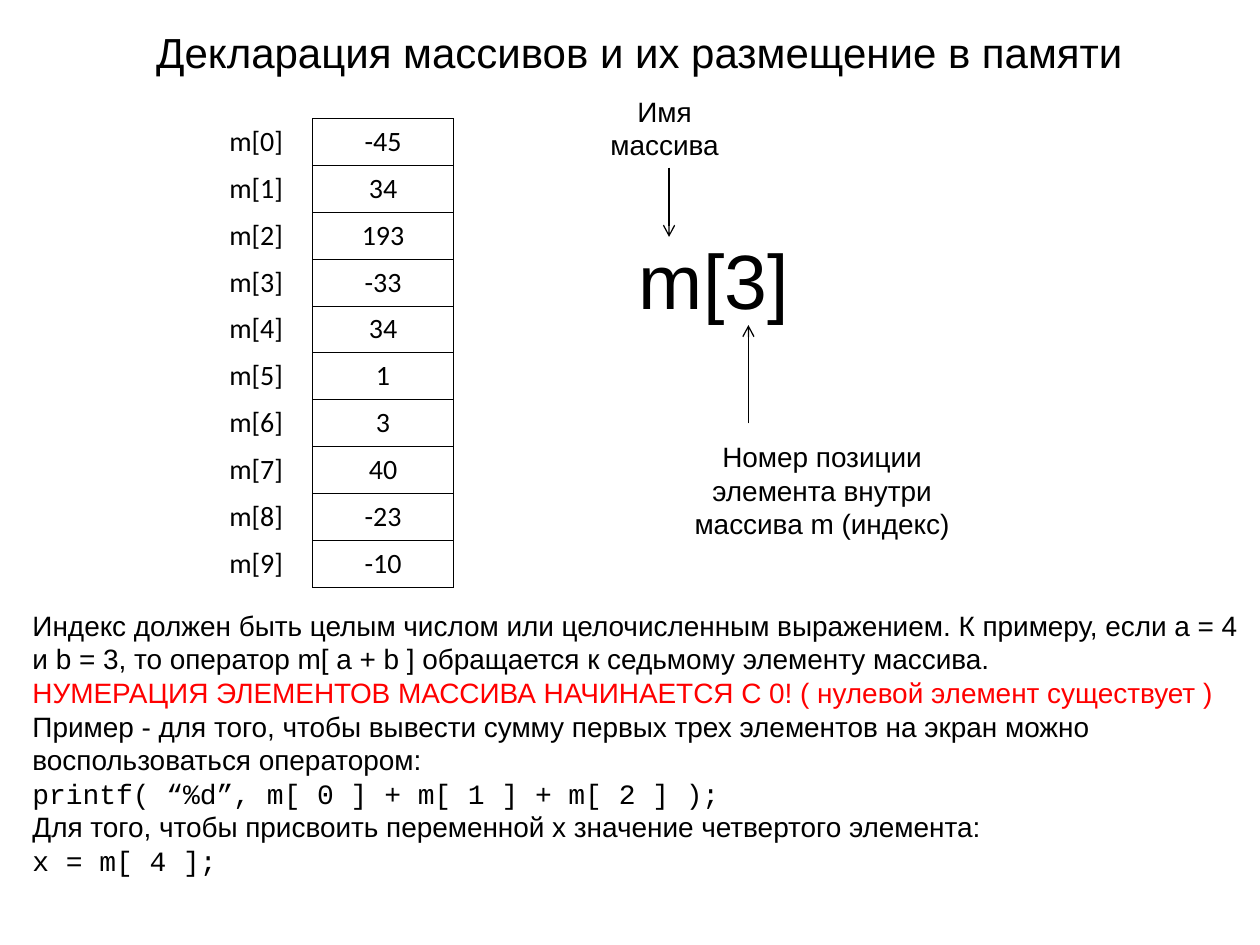
"""Build a slide on declaring arrays and placing them in memory."""
from lxml import etree
from pptx import Presentation
from pptx.dml.color import RGBColor
from pptx.enum import shapes, text
from pptx.oxml import ns
from pptx.util import Inches, Pt

BLACK = RGBColor(0, 0, 0)
RED = RGBColor(255, 0, 0)
CENTER = text.PP_ALIGN.CENTER
LEFT = text.PP_ALIGN.LEFT
CODE_FONT = "Courier New"
NO_GRID_STYLE = "{2D5ABB26-0587-4C30-8999-92F81FD0307C}"

ARRAY_VALUES = [-45, 34, 193, -33, 34, 1, 3, 40, -23, -10]
EXPLANATION = [
    ("Индекс должен быть целым числом или целочисленным выражением. "
     "К примеру, если a = 4 и b = 3, то оператор m[ a + b ] "
     "обращается к седьмому элементу массива.", {}),
    ("НУМЕРАЦИЯ ЭЛЕМЕНТОВ МАССИВА НАЧИНАЕТСЯ С 0! "
     "( нулевой элемент существует )", {"color": RED}),
    ("Пример - для того, чтобы вывести сумму первых трех элементов "
     "на экран можно воспользоваться оператором:", {}),
    ("printf( “%d”, m[ 0 ] + m[ 1 ] + m[ 2 ] );", {"font": CODE_FONT}),
    ("Для того, чтобы присвоить переменной x значение четвертого элемента:", {}),
    ("x = m[ 4 ];", {"font": CODE_FONT}),
]


def write(paragraph, content, size=16, font="Arial", color=BLACK, align=LEFT):
    """Fill a paragraph with one formatted run."""
    paragraph.alignment = align
    run = paragraph.add_run()
    run.text = content
    run.font.size = Pt(size)
    run.font.name = font
    run.font.color.rgb = color


def prepare_frame(frame):
    """Make a text frame wrap from the top without resizing."""
    frame.word_wrap = True
    frame.auto_size = text.MSO_AUTO_SIZE.NONE
    frame.vertical_anchor = text.MSO_ANCHOR.TOP


def add_title(slide, content):
    """Place and format the title placeholder."""
    title = slide.shapes.title
    title.left, title.top = Inches(0.23), Inches(0.16)
    title.width, title.height = Inches(9.69), Inches(0.5)
    prepare_frame(title.text_frame)
    write(title.text_frame.paragraphs[0], content, size=24, align=CENTER)


def add_text(slide, left, top, width, height, paragraphs):
    """Add a text box from pairs of text and format."""
    box = slide.shapes.add_textbox(
        Inches(left), Inches(top), Inches(width), Inches(height))
    frame = box.text_frame
    prepare_frame(frame)
    for index, (content, style) in enumerate(paragraphs):
        paragraph = frame.add_paragraph() if index else frame.paragraphs[0]
        write(paragraph, content, **style)


def add_borders(cell, sides):
    """Draw thin black borders on the given sides of a cell."""
    properties = cell._tc.get_or_add_tcPr()
    for side in sides:
        line = etree.SubElement(properties, ns.qn(f"a:ln{side}"), w=str(Pt(0.45)))
        fill = etree.SubElement(line, ns.qn("a:solidFill"))
        etree.SubElement(fill, ns.qn("a:srgbClr"), val=str(BLACK))


def add_array_table(slide, values):
    """Add the table of element names and stored values."""
    row_height = Inches(0.37)
    frame = slide.shapes.add_table(
        len(values), 2, Inches(1.72), Inches(0.94),
        Inches(1.88), row_height * len(values))
    table = frame.table
    table.first_row = table.horz_banding = False
    table._tbl.tblPr.find(ns.qn("a:tableStyleId")).text = NO_GRID_STYLE
    table.columns[0].width, table.columns[1].width = Inches(0.76), Inches(1.12)
    for index, value in enumerate(values):
        table.rows[index].height = row_height
        columns = ((f"m[{index}]", LEFT, "R"), (str(value), CENTER, "LRTB"))
        for column, (content, align, sides) in enumerate(columns):
            cell = table.cell(index, column)
            write(cell.text_frame.paragraphs[0], content, font="Calibri", align=align)
            add_borders(cell, sides)
            cell.fill.background()


def add_arrow(slide, x, start, end):
    """Add a vertical arrow pointing at its end."""
    arrow = slide.shapes.add_connector(
        shapes.MSO_CONNECTOR.STRAIGHT, Inches(x), Inches(start), Inches(x), Inches(end))
    arrow.line.color.rgb = BLACK
    arrow.line.width = Pt(0.75)
    etree.SubElement(arrow.line._get_or_add_ln(), ns.qn("a:tailEnd"), type="arrow")
    etree.SubElement(arrow._element.spPr, ns.qn("a:effectLst"))


def main():
    """Build and save the presentation."""
    presentation = Presentation()
    presentation.slide_width, presentation.slide_height = Inches(10), Inches(7.5)
    slide = presentation.slides.add_slide(presentation.slide_layouts[5])
    add_title(slide, "Декларация массивов и их размещение в памяти")
    add_array_table(slide, ARRAY_VALUES)

    label = {"align": CENTER}
    add_text(slide, 4.69, 1.8, 1.95, 0.84, [("m[3]", {"size": 44, **label})])
    add_text(slide, 4.61, 0.7, 1.33, 0.64, [("Имя массива", label)])
    add_text(slide, 5.16, 3.44, 2.73, 0.9,
             [("Номер позиции элемента внутри массива m (индекс)", label)])
    add_arrow(slide, 5.31, 1.33, 1.88)
    add_arrow(slide, 5.94, 3.36, 2.58)
    add_text(slide, 0.16, 4.78, 9.84, 2.24, EXPLANATION)
    presentation.save("out.pptx")


if __name__ == "__main__":
    main()
